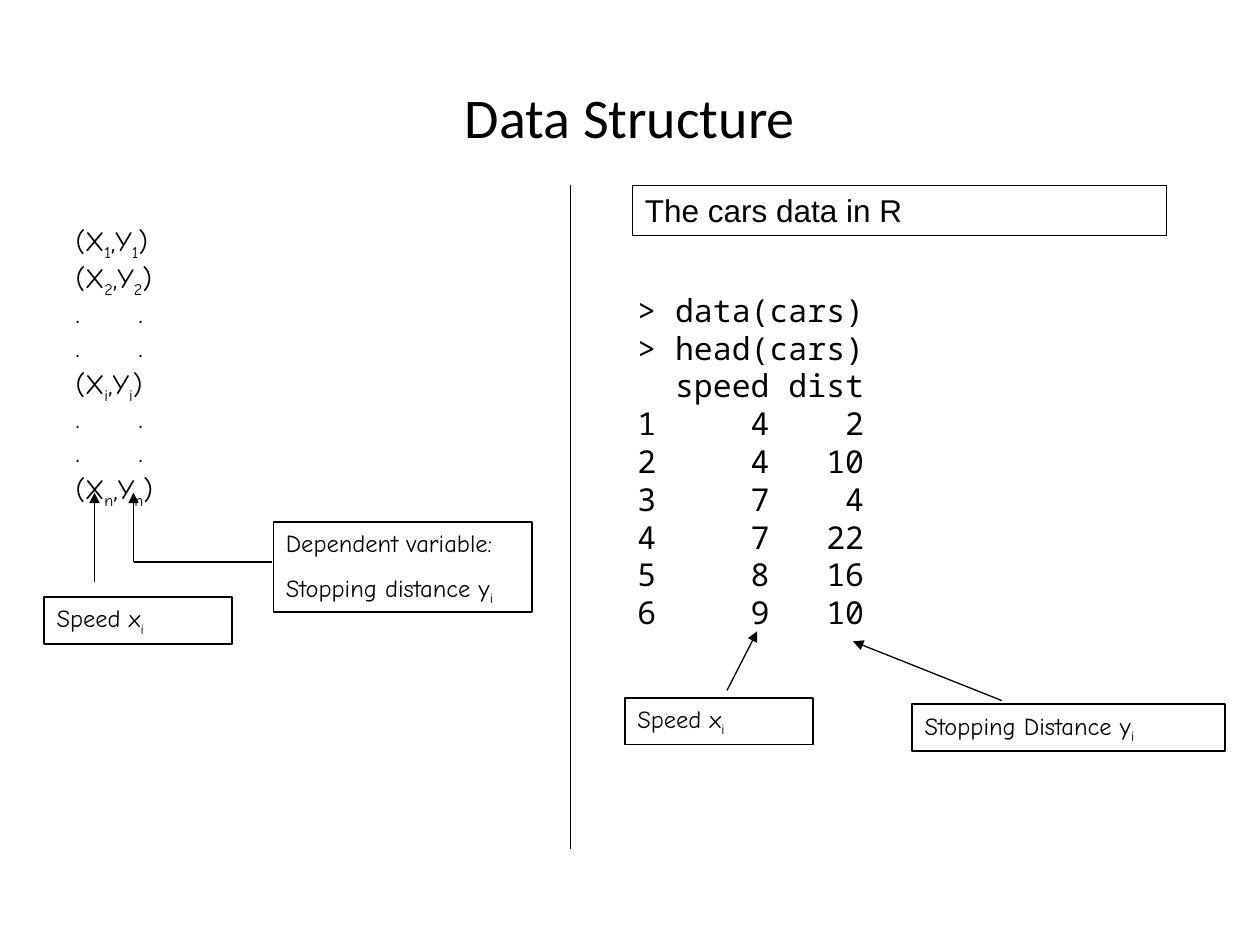
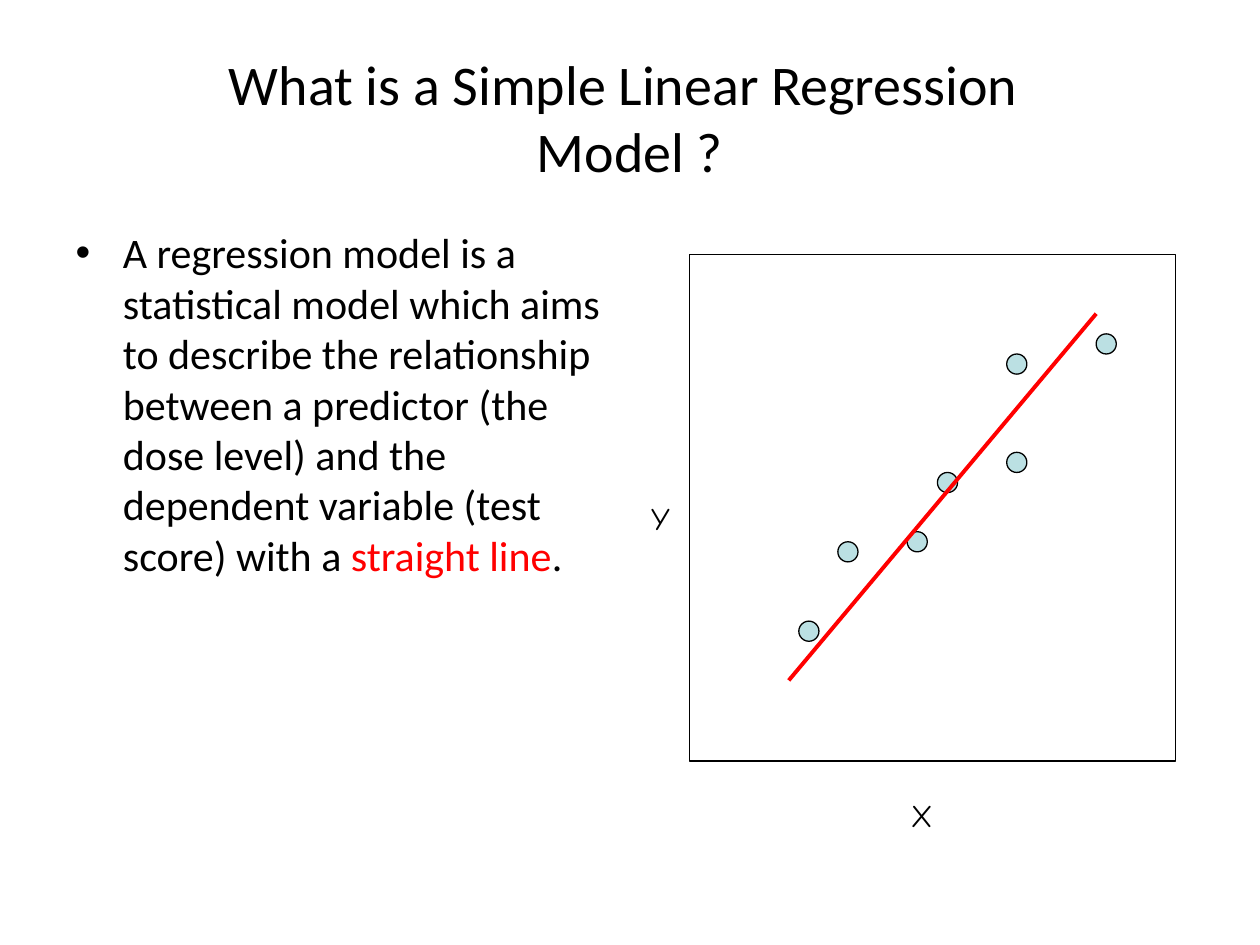
from copy import deepcopy

from lxml import etree
from pptx import Presentation
from pptx.dml.color import RGBColor
from pptx.enum.shapes import MSO_CONNECTOR, MSO_SHAPE
from pptx.enum.text import MSO_ANCHOR, MSO_AUTO_SIZE, PP_ALIGN
from pptx.oxml.ns import qn
from pptx.util import Inches, Pt

RECT, OVAL = MSO_SHAPE.RECTANGLE, MSO_SHAPE.OVAL
STRAIGHT = MSO_CONNECTOR.STRAIGHT
LEFT, MID = PP_ALIGN.LEFT, PP_ALIGN.CENTER
TOP, CENTER = MSO_ANCHOR.TOP, MSO_ANCHOR.MIDDLE
FIXED = MSO_AUTO_SIZE.NONE

WIDE, HIGH = Inches(10), Inches(7.5)
COLS, ROWS = 100, 75
INK = {"black": "000000", "red": "FF0000", "pale": "BBE0E3"}
HEAD, HAND, PLAIN, CODE = "Calibri", "Comic Neue", "Arial", "Noto Sans Mono"
TITLE = (5, 3, 90, 12.5)
BODY = (5, 17.5, 44.2, 49.5)

PAIR = "(X|{0}|,Y|{0}|)"
DOTS = ".\t."
CARS = [("", "speed", "dist"), (1, 4, 2), (2, 4, 10), (3, 7, 4),
        (4, 7, 22), (5, 8, 16), (6, 9, 10)]
POINTS = [(63.4, 49.3), (66.5, 43), (72, 42.2), (74.4, 37.5),
          (79.9, 35.9), (79.9, 28.1), (87, 26.5)]


def tint(name):
    return RGBColor.from_string(INK[name])


def write(frame, lines, size=14, font=HAND, align=LEFT, anchor=TOP,
          before=0, pitch=None, bare=False, tab=None, mark="sub"):
    frame.word_wrap = True
    frame.auto_size = FIXED
    frame.vertical_anchor = anchor
    for num, line in enumerate(lines):
        para = frame.add_paragraph() if num else frame.paragraphs[0]
        props = para._p.get_or_add_pPr()
        if bare:
            props.set("marL", "0")
            props.set("indent", "0")
            etree.SubElement(props, qn("a:buNone"))
        if tab:
            stops = etree.SubElement(props, qn("a:tabLst"))
            etree.SubElement(stops, qn("a:tab"), pos=str(tab), algn="l")
        para.alignment = align
        para.space_before = Pt(before if num else 0)
        if pitch:
            para.line_spacing = pitch
        for turn, part in enumerate(line.split("|")):
            for row, piece in enumerate(part.split("\n")):
                if row:
                    para.add_line_break()
                    para._p[-1].append(deepcopy(run._r.rPr))
                run = para.add_run()
                run.text = piece
                run.font.name = font
                run.font.size = Pt(size)
                marked = turn % 2
                run.font.color.rgb = tint("red" if marked and mark == "red" else "black")
                if marked and mark == "sub":
                    run._r.get_or_add_rPr().set("baseline", "-25000")


class Deck:
    def __init__(self):
        self.show = Presentation()
        self.show.slide_width, self.show.slide_height = WIDE, HIGH

    def x(self, cols):
        return round(cols * WIDE / COLS)

    def y(self, rows):
        return round(rows * HIGH / ROWS)

    def place(self, spot):
        left, top, width, height = spot
        return self.x(left), self.y(top), self.x(width), self.y(height)

    def fill(self, holder, spot, lines, **form):
        holder.left, holder.top, holder.width, holder.height = self.place(spot)
        write(holder.text_frame, lines, **form)

    def page(self, title, lines, **form):
        self.slide = self.show.slides.add_slide(self.show.slide_layouts[1])
        self.fill(self.slide.shapes.title, TITLE, [title], size=32, font=HEAD,
                  align=MID, anchor=CENTER)
        self.fill(self.slide.placeholders[1], BODY, lines, **form)

    def shape(self, kind, spot, line=0.75, fill=None):
        item = self.slide.shapes.add_shape(kind, *self.place(spot))
        item.shadow.inherit = False
        if fill:
            item.fill.solid()
            item.fill.fore_color.rgb = tint(fill)
        else:
            item.fill.background()
        item.line.color.rgb = tint("black")
        item.line.width = Pt(line)
        return item

    def box(self, spot, lines, line=1, **form):
        write(self.shape(RECT, spot, line).text_frame, lines, **form)

    def text(self, spot, lines, **form):
        item = self.slide.shapes.add_textbox(*self.place(spot))
        write(item.text_frame, lines, **form)

    def line(self, start, end, color="black", width=0.75, arrow=False):
        item = self.slide.shapes.add_connector(
            STRAIGHT, self.x(start[0]), self.y(start[1]), self.x(end[0]), self.y(end[1]))
        item.line.color.rgb = tint(color)
        item.line.width = Pt(width)
        if arrow:
            etree.SubElement(item.line._get_or_add_ln(), qn("a:tailEnd"), type="triangle")
        etree.SubElement(item._element.spPr, qn("a:effectLst"))


def data_page(deck):
    gap = [DOTS] * 2
    pairs = [PAIR.format(1), PAIR.format(2), *gap, PAIR.format("i"), *gap, PAIR.format("n")]
    deck.page("Data Structure", pairs, size=16, before=4, pitch=0.8,
              bare=True, tab=deck.x(4.8))
    deck.line((45.3, 14.7), (45.3, 67.4))

    for left, top in [(49.6, 55.4), (3.5, 47.4)]:
        deck.box((left, top, 14.9, 3.7), ["Speed x|i|"])
    deck.box((72.4, 55.9, 24.8, 3.7), ["Stopping Distance y|i|"])
    deck.box((21.7, 41.4, 20.5, 7.2),
             ["Dependent variable:", "Stopping distance y|i|"], before=8.8)
    deck.box((50.2, 14.7, 42.4, 4), ["The cars data in R"], line=0.5, size=18, font=PLAIN)

    deck.line((21.6, 44.6), (10.6, 44.6))
    for start, end in [((57.7, 54.8), (60.1, 50.1)), ((79.5, 55.6), (67.7, 50.9)),
                       ((7.5, 46.2), (7.5, 39.1)), ((10.6, 44.6), (10.6, 39.1))]:
        deck.line(start, end, arrow=True)

    table = [f"{num:1}{speed:>6}{dist:>5}" for num, speed, dist in CARS]
    deck.text((49.6, 22.6, 50, 28), ["> data(cars)", "> head(cars)", *table],
              size=18, font=CODE)


def model_page(deck):
    deck.page("What is a Simple Linear Regression \nModel ?",
              ["A regression model is a statistical model which aims to describe "
               "the relationship between a predictor (the dose level) and the "
               "dependent variable (test score) with a |straight line|."],
              size=24, font=HEAD, mark="red")
    deck.shape(RECT, (54.7, 20.2, 38.6, 40.2))
    for left, top in POINTS:
        deck.shape(OVAL, (left, top, 1.6, 1.6), fill="pale")
    for name, left, top in [("X", 71.3, 62.7), ("Y", 50.7, 39.1)]:
        deck.text((left, top, 5.5, 4), [name], size=18)
    deck.line((62.6, 54), (87, 24.9), color="red", width=2.25)


def main():
    deck = Deck()
    data_page(deck)
    model_page(deck)
    deck.show.save("out.pptx")


if __name__ == "__main__":
    main()
